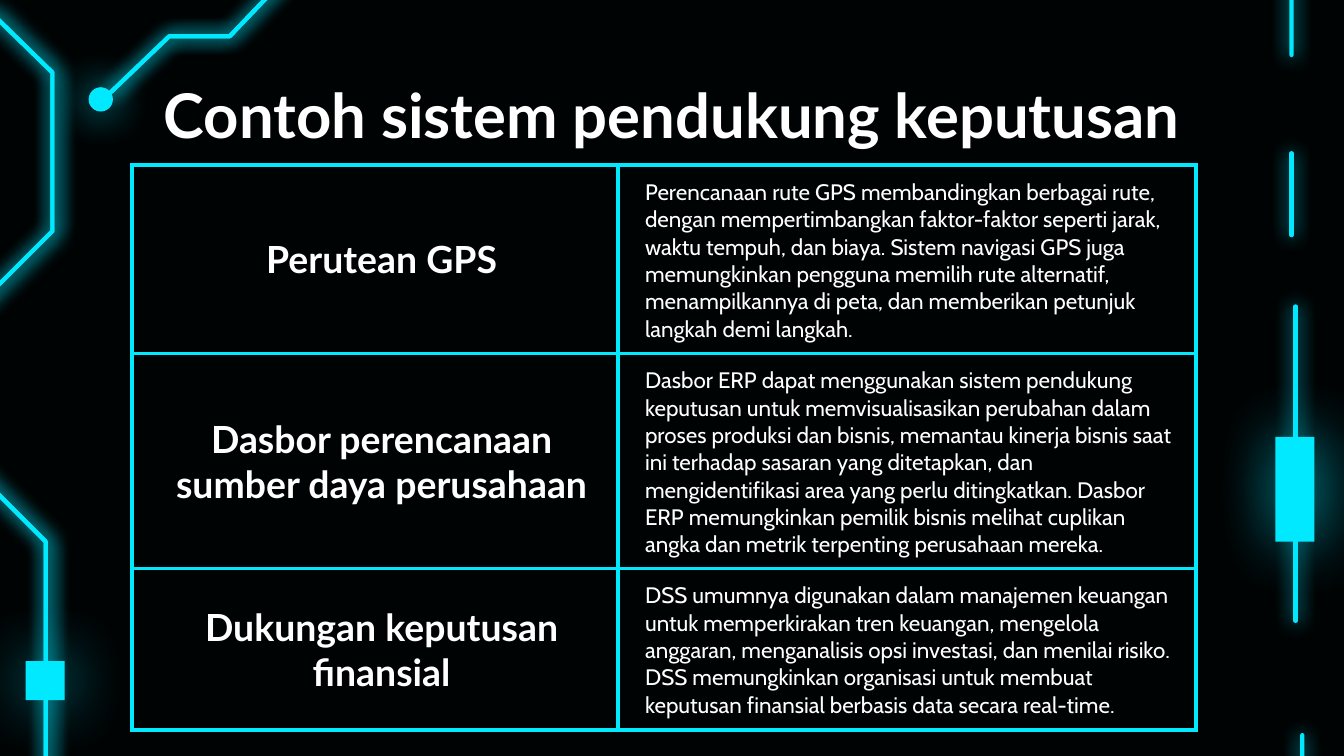
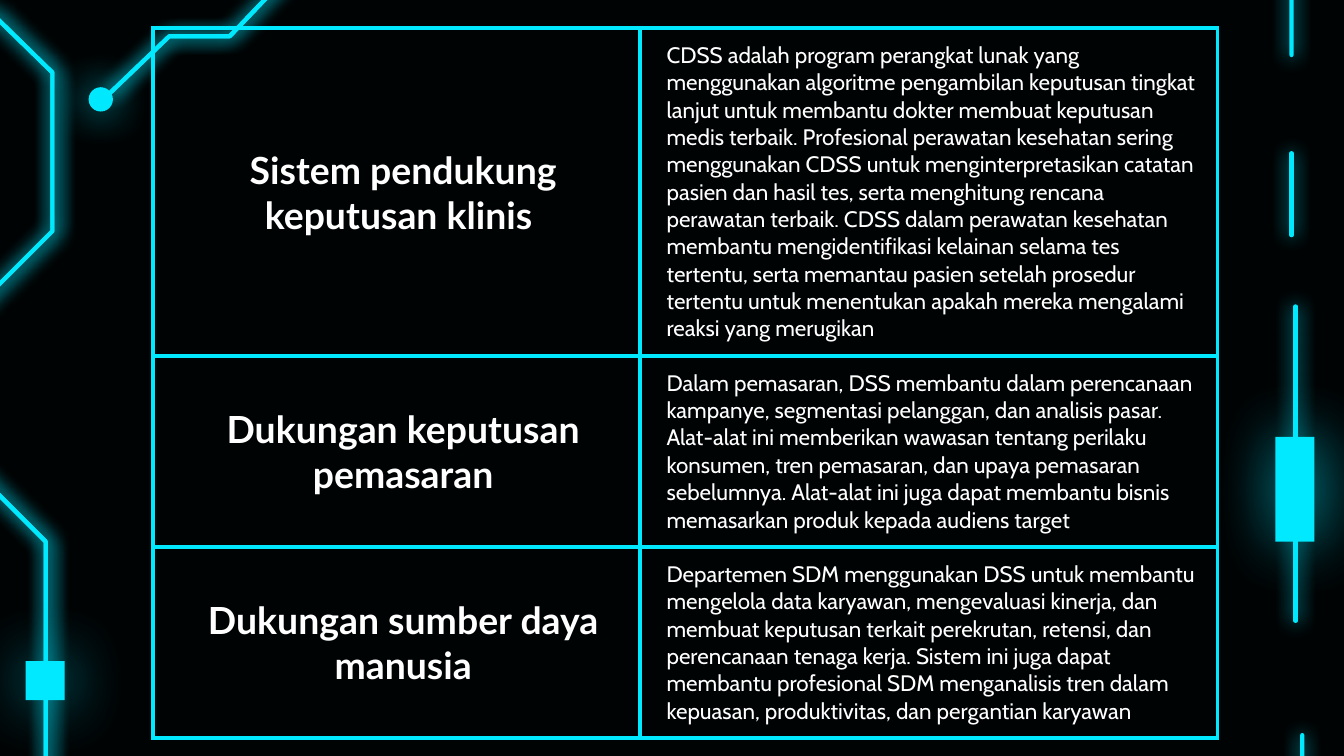
from lxml import etree
from pptx import Presentation
from pptx.dml.color import RGBColor
from pptx.enum.shapes import MSO_CONNECTOR as Connector, MSO_SHAPE as Shape
from pptx.enum.text import MSO_ANCHOR as Anchor, PP_ALIGN as Align
from pptx.oxml.ns import qn
from pptx.util import Inches, Pt

NEON, NIGHT, WHITE = "00E9FF", "000304", "FFFFFF"
HEADING_FONT, BODY_FONT = "Lato", "Cabin"
LINE_WIDTH = 2.25
COLUMN_WIDTHS = (3.62, 4.3)
ROW_HEIGHT = 1.13

SLIDES = [
    {
        "title": "Contoh sistem pendukung keputusan",
        "table_at": (0.98, 1.23),
        "table_height": 4.26,
        "rows": [
            ("Perutean GPS",
             "Perencanaan rute GPS membandingkan berbagai rute, dengan mempertimbangkan "
             "faktor-faktor seperti jarak, waktu tempuh, dan biaya. Sistem navigasi GPS juga "
             "memungkinkan pengguna memilih rute alternatif, menampilkannya di peta, dan "
             "memberikan petunjuk langkah demi langkah."),
            ("Dasbor perencanaan sumber daya perusahaan",
             "Dasbor ERP dapat menggunakan sistem pendukung keputusan untuk memvisualisasikan "
             "perubahan dalam proses produksi dan bisnis, memantau kinerja bisnis saat ini "
             "terhadap sasaran yang ditetapkan, dan mengidentifikasi area yang perlu "
             "ditingkatkan. Dasbor ERP memungkinkan pemilik bisnis melihat cuplikan angka dan "
             "metrik terpenting perusahaan mereka."),
            ("Dukungan keputusan finansial",
             "DSS umumnya digunakan dalam manajemen keuangan untuk memperkirakan tren keuangan, "
             "mengelola anggaran, menganalisis opsi investasi, dan menilai risiko. DSS "
             "memungkinkan organisasi untuk membuat keputusan finansial berbasis data secara "
             "real-time."),
        ],
    },
    {
        "title": None,
        "table_at": (1.14, 0.21),
        "table_height": 5.2,
        "rows": [
            ("Sistem pendukung keputusan klinis ",
             "CDSS adalah program perangkat lunak yang menggunakan algoritme pengambilan "
             "keputusan tingkat lanjut untuk membantu dokter membuat keputusan medis terbaik. "
             "Profesional perawatan kesehatan sering menggunakan CDSS untuk menginterpretasikan "
             "catatan pasien dan hasil tes, serta menghitung rencana perawatan terbaik. CDSS "
             "dalam perawatan kesehatan membantu mengidentifikasi kelainan selama tes tertentu, "
             "serta memantau pasien setelah prosedur tertentu untuk menentukan apakah mereka "
             "mengalami reaksi yang merugikan"),
            ("Dukungan keputusan pemasaran",
             "Dalam pemasaran, DSS membantu dalam perencanaan kampanye, segmentasi pelanggan, "
             "dan analisis pasar. Alat-alat ini memberikan wawasan tentang perilaku konsumen, "
             "tren pemasaran, dan upaya pemasaran sebelumnya. Alat-alat ini juga dapat membantu "
             "bisnis memasarkan produk kepada audiens target"),
            ("Dukungan sumber daya manusia",
             "Departemen SDM menggunakan DSS untuk membantu mengelola data karyawan, "
             "mengevaluasi kinerja, dan membuat keputusan terkait perekrutan, retensi, dan "
             "perencanaan tenaga kerja. Sistem ini juga dapat membantu profesional SDM "
             "menganalisis tren dalam kepuasan, produktivitas, dan pergantian karyawan"),
        ],
    },
]

RIGHT_TOP_TRACE = [
    (9.61, 0.41), (9.61, -0.2), (9.97, -0.57), (9.97, -1.06), (9.55, -1.49), (9.55, -2.15),
    (10.51, -2.15), (10.84, -1.82), (11.81, -1.82), (12.13, -2.14), (13.42, -2.14),
    (13.42, 3.29), (13.11, 3.59), (13.11, 4.8), (13.41, 5.09), (13.41, 6.75)]
RIGHT_DASHES = [((9.64, 4.62), (9.64, 2.28)), ((9.61, 1.75), (9.61, 1.14))]
RIGHT_BOTTOM_TRACE = [
    (10.1, 11.01), (9.63, 10.54), (9.63, 8.34), (10.03, 7.95), (10.03, 7.15),
    (9.69, 6.82), (9.69, 5.47)]
LEFT_TRACE = [
    (-3.49, 2.79), (-3.49, 3.41), (-3.11, 3.79), (-3.11, 4.82), (-3.49, 5.2),
    (-3.49, 12.34), (-1.04, 12.34), (0.34, 10.99), (0.34, 4.03), (-0.24, 3.45),
    (-0.24, 2.35), (0.39, 1.72), (0.39, 0.54), (-0.05, 0.11), (-0.45, 0.11),
    (-0.69, 0.35), (-1.2, 0.35), (-1.48, 0.07), (-1.82, 0.07)]
TOP_TRACE = [(2.72, -1.24), (2.08, -0.61), (2.14, -0.18), (1.71, 0.27), (1.26, 0.27), (0.81, 0.7)]
RIGHT_CHIP = (9.49, 3.25, 0.29, 0.78)
LEFT_CHIP = (0.19, 4.92, 0.29, 0.29)
NODE = (0.67, 0.66, 0.16, 0.16)


def color(hex_string):
    return RGBColor.from_string(hex_string)


def add_glow(shape, blur, alpha=100, distance=0):
    """Add a neon shadow; call after fill and line are set."""
    effects = etree.SubElement(shape.element.spPr, qn("a:effectLst"))
    shadow = etree.SubElement(effects, qn("a:outerShdw"), blurRad=str(Pt(blur)),
                              dist=str(Pt(distance)), dir="0", algn="bl", rotWithShape="0")
    tint = etree.SubElement(shadow, qn("a:srgbClr"), val=NEON)
    etree.SubElement(tint, qn("a:alpha"), val=str(alpha * 1000))


def style_line(shape, width=LINE_WIDTH):
    shape.line.color.rgb = color(NEON)
    shape.line.width = Pt(width)
    shape.element.spPr.find(qn("a:ln")).set("cap", "rnd")


def add_trace(page, points, distance=0):
    start, *rest = [(Inches(x), Inches(y)) for x, y in points]
    builder = page.shapes.build_freeform(*start, scale=1.0)
    builder.add_line_segments(rest, close=False)
    trace = builder.convert_to_shape()
    trace.fill.background()
    style_line(trace)
    add_glow(trace, 10.1, distance=distance)


def add_dash(page, start, end):
    dash = page.shapes.add_connector(Connector.STRAIGHT, *map(Inches, start + end))
    style_line(dash)
    add_glow(dash, 10.1)


def add_solid(page, kind, bounds):
    solid = page.shapes.add_shape(kind, *map(Inches, bounds))
    solid.fill.solid()
    solid.fill.fore_color.rgb = color(NEON)
    return solid


def add_chip(page, bounds):
    chip = add_solid(page, Shape.RECTANGLE, bounds)
    chip.line.fill.background()
    add_glow(chip, 36, alpha=70, distance=1.5)


def add_circuit(page):
    add_trace(page, RIGHT_TOP_TRACE)
    for start, end in RIGHT_DASHES:
        add_dash(page, start, end)
    add_trace(page, RIGHT_BOTTOM_TRACE)
    add_chip(page, RIGHT_CHIP)
    for distance in (1.5, 0):
        add_trace(page, LEFT_TRACE, distance)
    add_chip(page, LEFT_CHIP)
    add_trace(page, TOP_TRACE, 1.5)
    node = add_solid(page, Shape.OVAL, NODE)
    style_line(node, 1.5)
    add_glow(node, 22.5)
    add_trace(page, TOP_TRACE)


def write(frame, text, font, size, bold=False, align=Align.LEFT):
    para = frame.paragraphs[0]
    para.alignment = align
    span = para.add_run()
    span.text = text
    span.font.name = font
    span.font.size = Pt(size)
    span.font.bold = bold
    span.font.color.rgb = color(WHITE)


def add_title(page, text):
    box = page.shapes.add_textbox(Inches(0.78), Inches(0.59), Inches(8.44), Inches(0.52))
    frame = box.text_frame
    frame.word_wrap = True
    frame.vertical_anchor = Anchor.MIDDLE
    frame.margin_left = frame.margin_right = frame.margin_top = frame.margin_bottom = Inches(0.1)
    write(frame, text, HEADING_FONT, 33, bold=True, align=Align.CENTER)


def style_cell(cell):
    cell.fill.background()
    cell.vertical_anchor = Anchor.MIDDLE
    cell.margin_left = Inches(0.2)
    cell.margin_right = cell.margin_top = cell.margin_bottom = Inches(0.1)
    properties = cell._tc.get_or_add_tcPr()
    for index, side in enumerate(("lnL", "lnR", "lnT", "lnB")):
        border = etree.Element(qn(f"a:{side}"), w=str(Pt(LINE_WIDTH)))
        fill = etree.SubElement(border, qn("a:solidFill"))
        etree.SubElement(fill, qn("a:srgbClr"), val=NEON)
        properties.insert(index, border)


def add_examples(page, rows, at, height):
    left, top = map(Inches, at)
    frame = page.shapes.add_table(len(rows), len(COLUMN_WIDTHS), left, top,
                                  Inches(sum(COLUMN_WIDTHS)), Inches(height))
    table = frame.table
    table.first_row = table.horz_banding = False
    for column, width in zip(table.columns, COLUMN_WIDTHS):
        column.width = Inches(width)
    for row, (heading, description) in zip(table.rows, rows):
        row.height = Inches(ROW_HEIGHT)
        heading_cell, description_cell = row.cells
        style_cell(heading_cell)
        style_cell(description_cell)
        write(heading_cell.text_frame, heading, HEADING_FONT, 20, bold=True, align=Align.CENTER)
        write(description_cell.text_frame, description, BODY_FONT, 12)
    frame.height = Inches(height)


def main():
    deck = Presentation()
    deck.slide_width = Inches(10)
    deck.slide_height = deck.slide_width * 9 // 16
    for content in SLIDES:
        page = deck.slides.add_slide(deck.slide_layouts[6])
        page.background.fill.solid()
        page.background.fill.fore_color.rgb = color(NIGHT)
        add_circuit(page)
        if content["title"]:
            add_title(page, content["title"])
        add_examples(page, content["rows"], content["table_at"], content["table_height"])
    deck.save("out.pptx")


if __name__ == "__main__":
    main()
